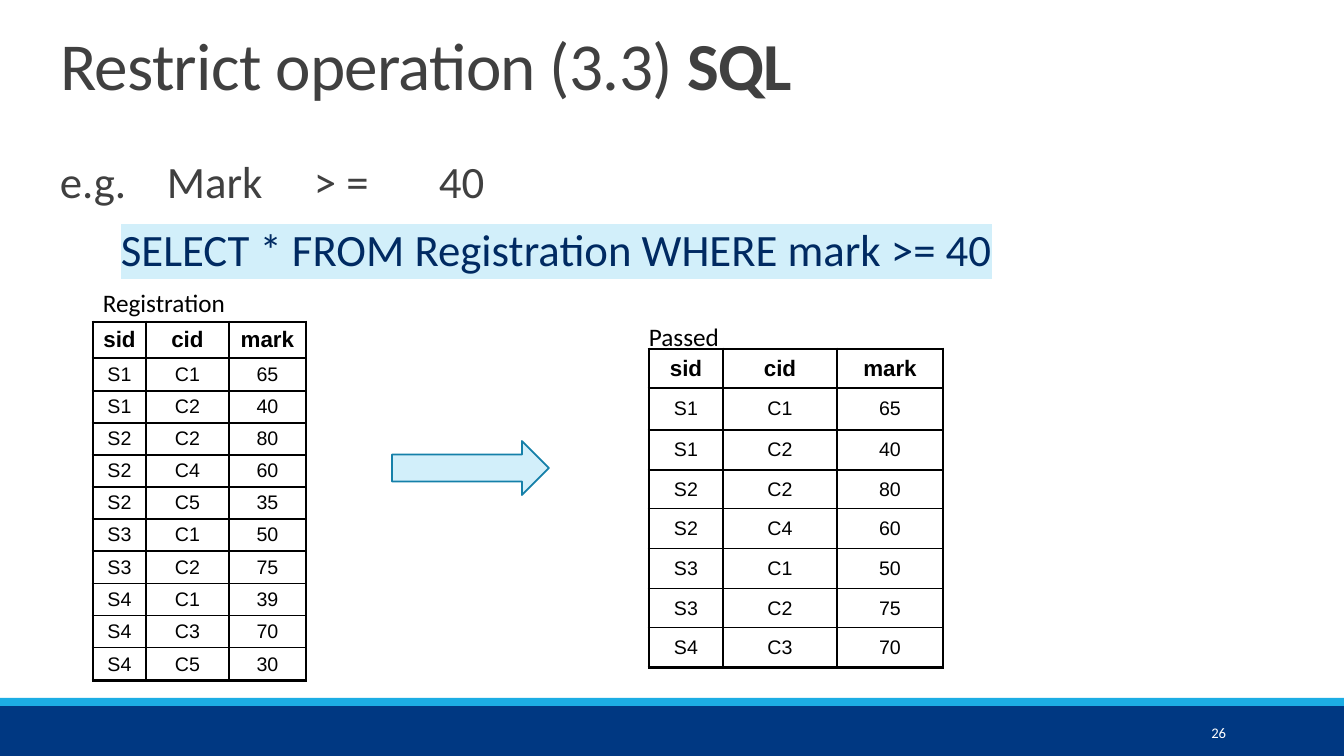
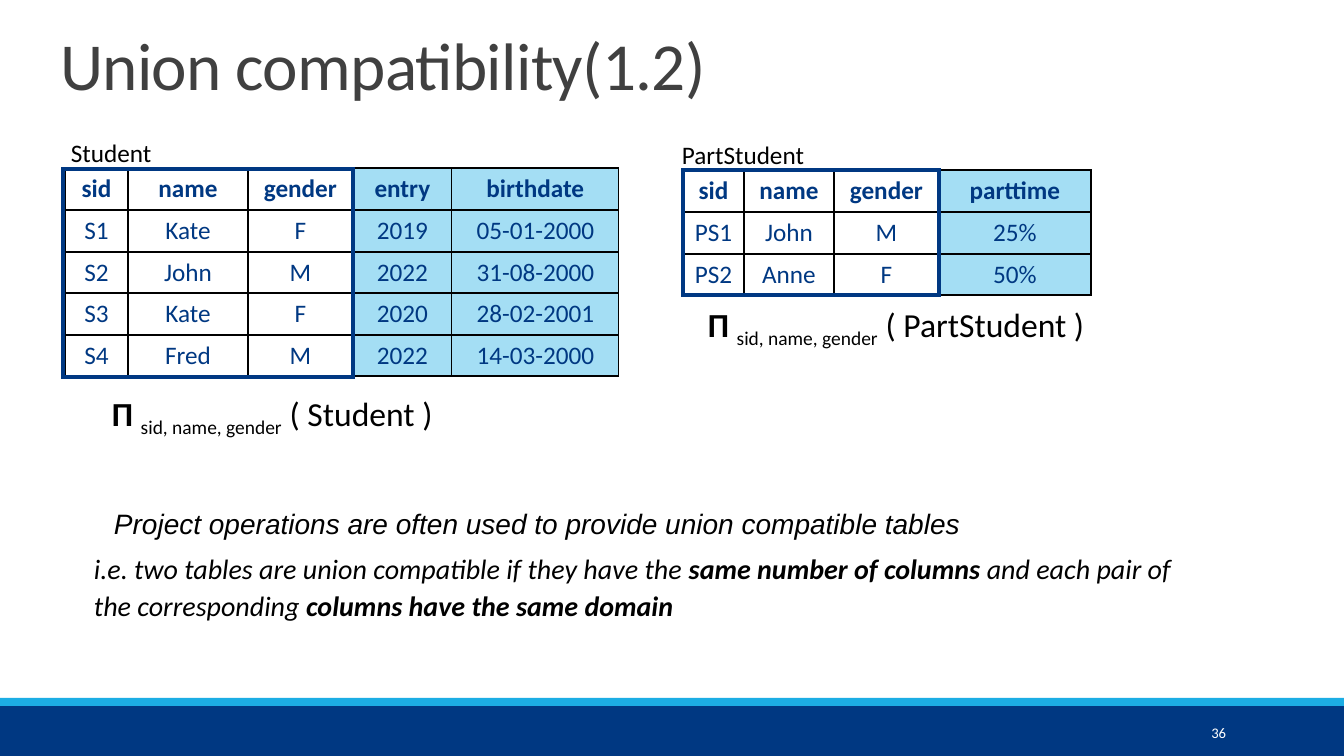
"""Build two slides on the restrict operation and union compatibility."""
import pptx
import pptx.dml.color
import pptx.enum.shapes
import pptx.enum.text
import pptx.oxml
import pptx.oxml.ns
import pptx.util

PX = 914400 / 100.8
COLORS = {
    "navy": "003882", "cyan": "1CADE4", "white": "FFFFFF", "title": "404040",
    "black": "000000", "code": "002A62", "pale": "D2EFFA", "arrow": "1580A9",
    "tint": "A4DEF4",
}
RGB = {name: pptx.dml.color.RGBColor.from_string(value) for name, value in COLORS.items()}
NAMESPACE = pptx.oxml.ns.nsdecls("a")
ALIGN = pptx.enum.text.PP_ALIGN
ANCHOR = pptx.enum.text.MSO_ANCHOR
SHAPE = pptx.enum.shapes.MSO_SHAPE


def write(paragraph, text, size=18, color="black", font="Calibri", bold=False, italic=False,
          align=ALIGN.LEFT, line=None, highlight=None, **attributes):
    """Add one formatted run to a paragraph; extra keywords become run attributes."""
    paragraph.alignment = align
    if line:
        paragraph.line_spacing = line
    run = paragraph.add_run()
    run.text = text
    run.font.size = pptx.util.Pt(size)
    run.font.bold = bold
    run.font.italic = italic
    run.font.color.rgb = RGB[color]
    run.font.name = font
    properties = run.font._element
    for name, value in attributes.items():
        properties.set(name, str(value))
    if highlight:
        properties.find(pptx.oxml.ns.qn("a:solidFill")).addnext(pptx.oxml.parse_xml(
            f'<a:highlight {NAMESPACE}><a:srgbClr val="{COLORS[highlight]}"/></a:highlight>'))


def add_box(slide, *box, shape_type=None, fill=None, line=None, line_width=1):
    """Add a text box, or a filled preset shape when a type is given, at a box in px."""
    emu = [round(value * PX) for value in box]
    if shape_type is None:
        shape = slide.shapes.add_textbox(*emu)
        shape.text_frame.word_wrap = True
        return shape
    shape = slide.shapes.add_shape(shape_type, *emu)
    shape.shadow.inherit = False
    shape.fill.solid()
    shape.fill.fore_color.rgb = RGB[fill]
    if line:
        shape.line.color.rgb = RGB[line]
        shape.line.width = pptx.util.Pt(line_width)
    else:
        shape.line.fill.background()
    return shape


presentation = pptx.Presentation()
presentation.slide_width = round(1344 * PX)
presentation.slide_height = round(756 * PX)
layout = presentation.slide_layouts[5]

slides = []
for title_runs, number in [
    ([("Restrict operation (3.3) ", False), ("SQL", True)], "26"),
    ([("Union compatibility(1.2)", False)], "36"),
]:
    slide = presentation.slides.add_slide(layout)
    slides.append(slide)
    title = slide.shapes.title
    title.left, title.top, title.width, title.height = [
        round(value * PX) for value in (50, 31, 1018, 126)]
    title.text_frame.vertical_anchor = ANCHOR.TOP
    title.text_frame.auto_size = pptx.enum.text.MSO_AUTO_SIZE.NONE
    for text, bold in title_runs:
        write(title.text_frame.paragraphs[0], text, size=48, color="title", bold=bold,
              line=0.85, spc=-50)
    page_number = add_box(slide, 1092, 713, 144, 40)
    page_number.text_frame.vertical_anchor = ANCHOR.MIDDLE
    write(page_number.text_frame.paragraphs[0], number, size=10.5, color="white",
          align=ALIGN.RIGHT)

restrict_slide, union_slide = slides
for top, height, color in [(706, 50, "navy"), (698, 8, "cyan")]:
    band = add_box(restrict_slide, 0, top, 1344, height, shape_type=SHAPE.RECTANGLE, fill=color)
    layout.shapes.element.append(band.element)

example = add_box(restrict_slide, 50, 155, 1225, 130).text_frame
condition = example.paragraphs[0]
stops = "".join(f'<a:tab pos="{round(stop * PX)}" algn="l"/>' for stop in (107, 254, 379))
condition._p.get_or_add_pPr().append(
    pptx.oxml.parse_xml(f"<a:tabLst {NAMESPACE}>{stops}</a:tabLst>"))
condition.space_after = pptx.util.Pt(2)
write(condition, "e.g.\tMark\t> =\t40", size=32, color="title", line=0.9)
query = example.add_paragraph()
query._p.get_or_add_pPr().set("marL", str(round(61 * PX)))
query.space_before = pptx.util.Pt(12)
write(query, "SELECT * FROM Registration WHERE mark >= 40", size=32, color="code", line=0.9,
      highlight="pale")

add_box(restrict_slide, 392, 441, 157, 54, shape_type=SHAPE.RIGHT_ARROW, fill="pale",
        line="arrow", line_width=1.25)

registrations = [
    ("S1", "C1", "65"), ("S1", "C2", "40"), ("S2", "C2", "80"), ("S2", "C4", "60"),
    ("S2", "C5", "35"), ("S3", "C1", "50"), ("S3", "C2", "75"), ("S4", "C1", "39"),
    ("S4", "C3", "70"), ("S4", "C5", "30"),
]
passed = [row for row in registrations if int(row[2]) >= 40]
mark_header = ("sid", "cid", "mark")
students = [
    ("sid", "name", "gender", "entry", "birthdate"),
    ("S1", "Kate", "F", "2019", "05-01-2000"),
    ("S2", "John", "M", "2022", "31-08-2000"),
    ("S3", "Kate", "F", "2020", "28-02-2001"),
    ("S4", "Fred", "M", "2022", "14-03-2000"),
]
part_students = [
    ("sid", "name", "gender", "parttime"),
    ("PS1", "John", "M", "25%"),
    ("PS2", "Anne", "F", "50%"),
]
highlight_frame = [("",)]
mark_style = {"font": "Arial", "color": "black", "sizes": (16, 14),
              "edge": 2.25, "border": "black"}
student_style = {"font": "Calibri", "color": "navy", "sizes": (18, 18),
                 "edge": 1, "border": "black"}
frame_style = {**student_style, "edge": 3, "border": "navy"}

for slide, left, top, widths, heights, rows, style in [
    (restrict_slide, 649, 349, [74, 114, 106], [39, 42, 40, 39, 40, 40, 39, 40],
     [mark_header] + passed, mark_style),
    (restrict_slide, 93, 322, [53, 83, 77], [36, 33] + [32] * 5 + [33, 32, 32, 33],
     [mark_header] + registrations, mark_style),
    (union_slide, 65, 168, [63, 120, 105, 99, 167], [42, 42, 41, 42, 41],
     students, student_style),
    (union_slide, 683, 170, [61, 90, 105, 152], [42, 42, 41],
     part_students, student_style),
    (union_slide, 63, 169, [290], [208], highlight_frame, frame_style),
    (union_slide, 683, 170, [256], [125], highlight_frame, frame_style),
]:
    box = [round(value * PX) for value in (left, top, sum(widths), sum(heights))]
    table = slide.shapes.add_table(len(rows), len(widths), *box).table
    table.first_row = table.horz_banding = False
    for column, width in zip(table.columns, widths):
        column.width = round(width * PX)
    for row_index, (row, height) in enumerate(zip(rows, heights)):
        table.rows[row_index].height = round(height * PX)
        for column_index, text in enumerate(row):
            cell = table.cell(row_index, column_index)
            cell.margin_left = cell.margin_right = cell.margin_top = cell.margin_bottom = 0
            cell.vertical_anchor = ANCHOR.MIDDLE
            if text:
                write(cell.text_frame.paragraphs[0], text, size=style["sizes"][row_index > 0],
                      color=style["color"], font=style["font"], bold=row_index == 0,
                      align=ALIGN.CENTER)
            if column_index >= 3:
                cell.fill.solid()
                cell.fill.fore_color.rgb = RGB["tint"]
            else:
                cell.fill.background()
            outer_sides = [
                ("L", column_index == 0), ("R", column_index == len(widths) - 1),
                ("T", row_index == 0), ("B", row_index == len(rows) - 1),
            ]
            for position, (side, is_outer) in enumerate(outer_sides):
                border_width = pptx.util.Pt(style["edge"] if is_outer else 1)
                cell._tc.get_or_add_tcPr().insert(position, pptx.oxml.parse_xml(
                    f'<a:ln{side} {NAMESPACE} w="{border_width}"><a:solidFill>'
                    f'<a:srgbClr val="{COLORS[style["border"]]}"/></a:solidFill></a:ln{side}>'))

for slide, left, top, text in [
    (restrict_slide, 93, 282, "Registration"),
    (restrict_slide, 639, 316, "Passed"),
    (union_slide, 61, 132, "Student"),
    (union_slide, 672, 134, "PartStudent"),
]:
    label = add_box(slide, left, top, 160, 40)
    write(label.text_frame.paragraphs[0], text)

for left, top, relation in [(102, 388, "Student"), (698, 299, "PartStudent")]:
    formula = add_box(union_slide, left, top, 433, 50).text_frame.paragraphs[0]
    write(formula, "Π ", size=24, bold=True)
    write(formula, "sid, name, gender", size=24, baseline=-25000)
    write(formula, f" ( {relation} )", size=24)

for box, font, runs in [
    ((84, 498, 934, 44), "Arial",
     [("Project operations are often used to provide union compatible tables", False)]),
    ((64, 543, 1157, 126), "Calibri",
     [("i.e. two tables are union compatible if they have the ", False),
      ("same number of columns ", True),
      ("and each pair of the corresponding ", False),
      ("columns have the same domain", True)]),
]:
    note = add_box(union_slide, *box).text_frame.paragraphs[0]
    note._p.get_or_add_pPr().set("marL", str(round(20 * PX)))
    for text, bold in runs:
        write(note, text, size=20, font=font, bold=bold, italic=True, line=1.1)

presentation.save("out.pptx")
